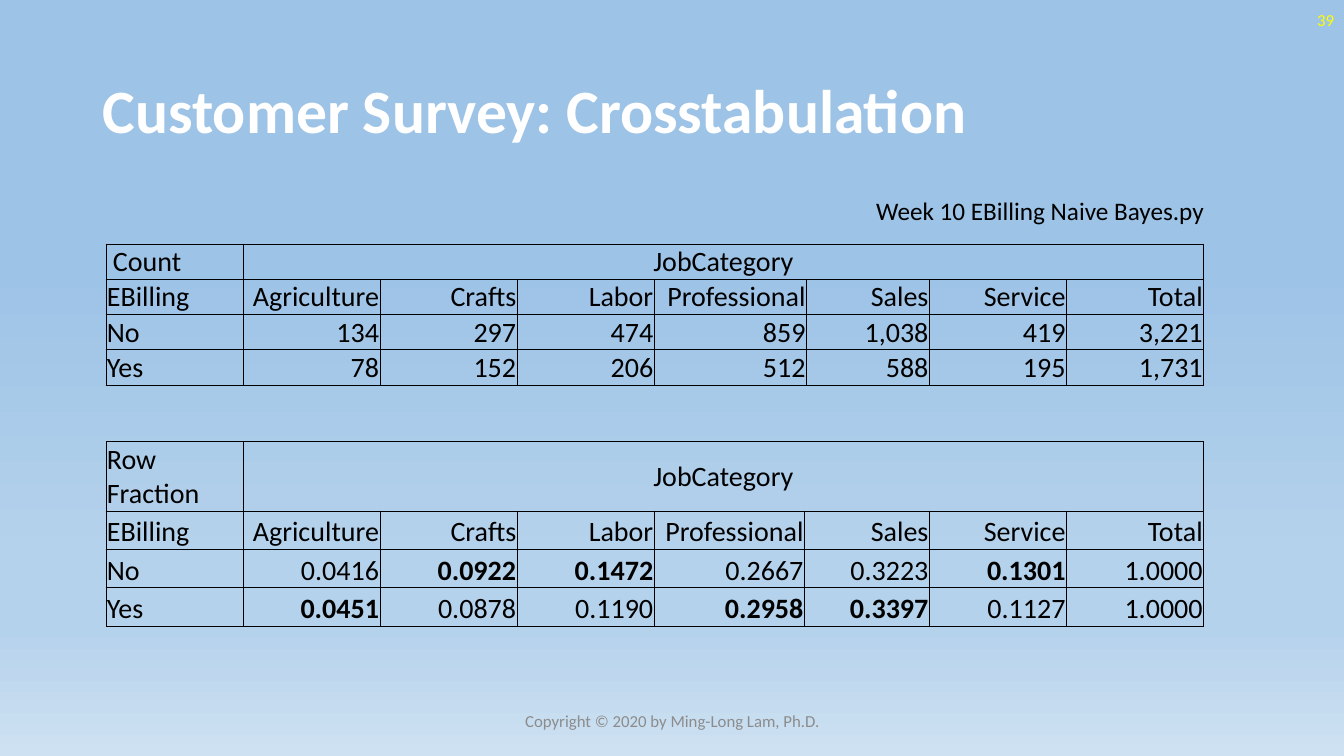
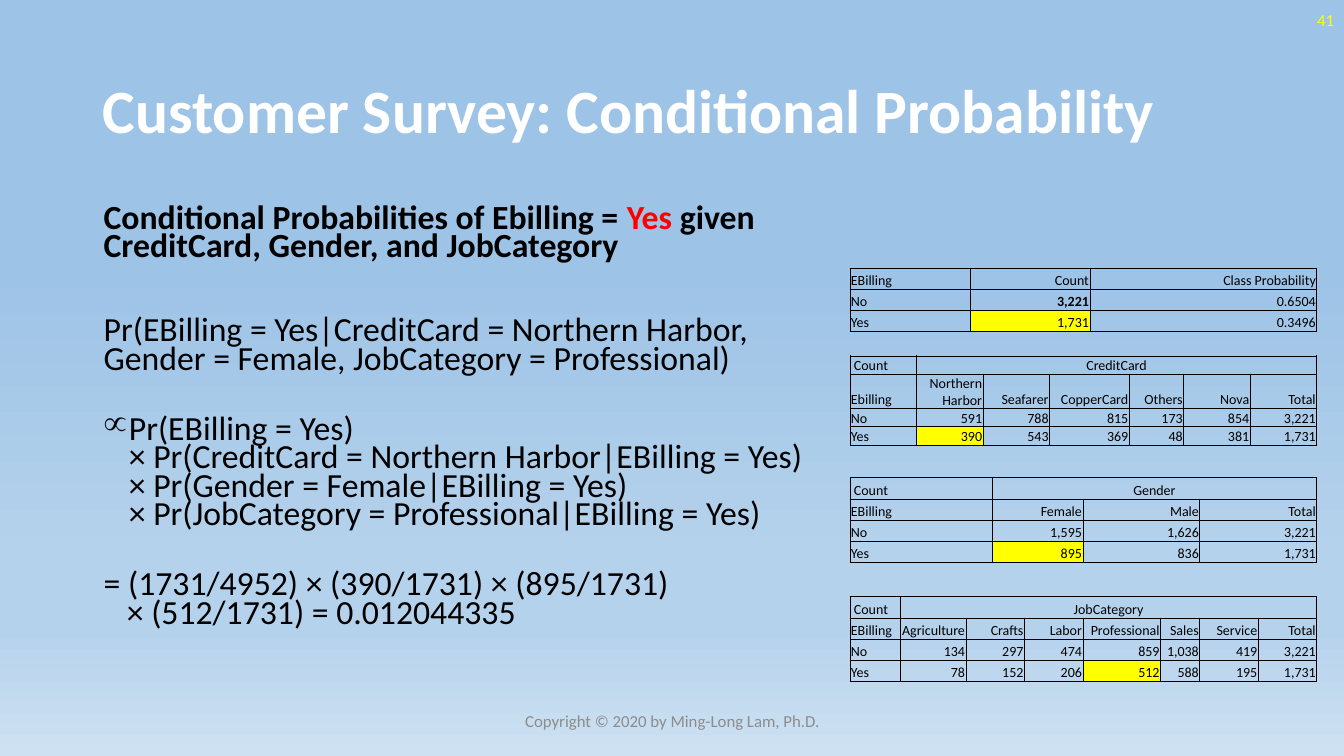
from dataclasses import dataclass

from lxml.etree import SubElement as Sub
from pptx import Presentation
from pptx.dml.color import RGBColor as RGB
from pptx.enum.text import MSO_ANCHOR as Anchor, PP_ALIGN as Align
from pptx.oxml.ns import qn
from pptx.util import Inches, Pt


@dataclass(frozen=True)
class Theme:
    font: str = "Calibri"
    black: str = "000000"
    white: str = "FFFFFF"
    gray: str = "8C8C8C"
    red: str = "FF0000"
    yellow: str = "FFFF00"
    sky: tuple = ((35, "9DC3E6"), (74, "B5D2EC"), (83, "B5D2EC"), (100, "CEE1F2"))
    title: float = 44
    body: float = 24.1
    large: float = 20
    label: float = 18
    note: float = 12
    small: float = 10
    rule: float = 0.5
    pad: float = 0.01


T = Theme()


def put(frame, text, size=T.label, color=T.black, bold=False, align=Align.LEFT,
        line=None, before=0, hang=0, bullet=None):
    """Add a paragraph; text is a string or a list of (words, color) runs."""
    para = frame.paragraphs[0]
    if para.runs:
        para = frame.add_paragraph()
    para.alignment = align
    para.space_before = Pt(before)
    if line:
        para.line_spacing = line
    if hang:
        props = para._p.get_or_add_pPr()
        props.set("marL", str(Inches(hang)))
        props.set("indent", str(-Inches(hang)))
        if bullet:
            Sub(props, qn("a:buChar")).set("char", bullet)
    for words, tint in [(text, color)] if isinstance(text, str) else text:
        for i, part in enumerate(words.split("\n")):
            if i:
                para.add_line_break()
            run = para.add_run()
            run.text = part
            font = run.font
            font.name, font.size, font.bold = T.font, Pt(size), bold
            font.color.rgb = RGB.from_string(tint)
    for gap in para._p.findall(qn("a:br")):
        Sub(gap, qn("a:rPr")).set("sz", str(round(size * 100)))


def edge(cell):
    """Draw a thin black line on all four sides of a table cell."""
    props = cell._tc.get_or_add_tcPr()
    for side in ("lnL", "lnR", "lnT", "lnB"):
        line = Sub(props, qn(f"a:{side}"), w=str(Pt(T.rule)))
        fill = Sub(line, qn("a:solidFill"))
        Sub(fill, qn("a:srgbClr"), val=T.black)


class Deck:
    def __init__(self):
        self.prs = Presentation()
        self.prs.slide_width, self.prs.slide_height = Inches(13.33), Inches(7.5)
        self.paint()

    def paint(self):
        """Put the shared gradient behind every slide."""
        fill = self.prs.slide_master.background.fill
        fill.gradient()
        fill.gradient_angle = 270
        stops = fill._fill._gradFill.find(qn("a:gsLst"))
        for old in list(stops):
            stops.remove(old)
        for pos, color in T.sky:
            stop = Sub(stops, qn("a:gs"), pos=str(pos * 1000))
            Sub(stop, qn("a:srgbClr"), val=color)

    def page(self, title, number):
        self.slide = self.prs.slides.add_slide(self.prs.slide_layouts[6])
        put(self.box(0.92, 0.4, 11.5, 1.45, Anchor.MIDDLE), title,
            size=T.title, color=T.white, bold=True, line=0.9)
        put(self.box(10.33, 0, 3, 0.4, Anchor.MIDDLE), number,
            size=T.note, color=T.yellow, align=Align.RIGHT)
        put(self.box(4.42, 6.95, 4.5, 0.4, Anchor.MIDDLE),
            "Copyright © 2020 by Ming-Long Lam, Ph.D.",
            size=T.note, color=T.gray, align=Align.CENTER)

    def box(self, x, y, w, h, anchor=Anchor.TOP):
        shape = self.slide.shapes.add_textbox(*map(Inches, (x, y, w, h)))
        frame = shape.text_frame
        frame.word_wrap = True
        frame.vertical_anchor = anchor
        return frame

    def table(self, x, y, cols, highs, rows, size=T.small, bold=(), mark=(),
              inset=0.03, group=Anchor.BOTTOM):
        """Draw rows of "|" separated cells; a short row spans its last cell.

        bold and mark hold (row, column) pairs; inset shifts a spanned
        table's corner cell.
        """
        shape = self.slide.shapes.add_table(
            len(rows), len(cols), *map(Inches, (x, y, sum(cols), sum(highs))))
        grid = shape.table
        grid.first_row = grid.horz_banding = False
        for col, wide in zip(grid.columns, cols):
            col.width = Inches(wide)
        for row, high in zip(grid.rows, highs):
            row.height = Inches(high)
        for r, row in enumerate(rows):
            texts = row.split("|")
            span = len(texts) < len(cols)
            for c in range(len(cols)):
                cell = grid.cell(r, c)
                cell.margin_left = Inches(T.pad + (inset if span and c == 0 else 0))
                cell.margin_right = cell.margin_top = Inches(T.pad)
                cell.margin_bottom = 0
                cell.vertical_anchor = group if span and c else Anchor.BOTTOM
                edge(cell)
                if (r, c) in mark:
                    cell.fill.solid()
                    cell.fill.fore_color.rgb = RGB.from_string(T.yellow)
                else:
                    cell.fill.background()
                if c < len(texts):
                    align = Align.LEFT if c == 0 else Align.CENTER if span else Align.RIGHT
                    put(cell.text_frame, texts[c], size=size, align=align,
                        bold=(r, c) in bold)
            if span:
                grid.cell(r, 1).merge(grid.cell(r, len(cols) - 1))


JOBS = "EBilling|Agriculture|Crafts|Labor|Professional|Sales|Service|Total"
COUNTS = [
    "Count|JobCategory",
    JOBS,
    "No|134|297|474|859|1,038|419|3,221",
    "Yes|78|152|206|512|588|195|1,731",
]
SHARES = [
    "Row Fraction|JobCategory",
    JOBS,
    "No|0.0416|0.0922|0.1472|0.2667|0.3223|0.1301|1.0000",
    "Yes|0.0451|0.0878|0.1190|0.2958|0.3397|0.1127|1.0000",
]
CLASSES = [
    "EBilling|Count|Class Probability",
    "No|3,221|0.6504",
    "Yes|1,731|0.3496",
]
CARDS = [
    "Count|CreditCard",
    "Ebilling|Northern Harbor|Seafarer|CopperCard|Others|Nova|Total",
    "No|591|788|815|173|854|3,221",
    "Yes|390|543|369|48|381|1,731",
]
GENDERS = [
    "Count|Gender",
    "EBilling|Female|Male|Total",
    "No|1,595|1,626|3,221",
    "Yes|895|836|1,731",
]


def cross(deck):
    deck.page("Customer Survey: Crosstabulation", "39")
    put(deck.box(8.59, 1.89, 3.49, 0.4), "Week 10 EBilling Naive Bayes.py")
    left, wide = 1.05, 1.36
    deck.table(left, 2.42, [wide] * 4 + [1.51, 1.22] + [wide] * 2, [0.35] * 4,
               COUNTS, size=T.large, inset=0.06)
    deck.table(left, 4.38, [wide] * 4 + [1.49, 1.24] + [wide] * 2,
               [0.69] + [0.38] * 3, SHARES, size=T.large, inset=0,
               group=Anchor.MIDDLE,
               bold={(2, 2), (2, 3), (2, 6), (3, 1), (3, 4), (3, 5)})


def chance(deck):
    deck.page("Customer Survey: Conditional Probability", "41")
    body = deck.box(0.93, 2, 7.23, 4.76)
    style = dict(size=T.body, line=0.7)
    put(body, [("Conditional Probabilities of Ebilling = ", T.black), ("Yes", T.red),
               (" given CreditCard, Gender, and JobCategory", T.black)],
        bold=True, **style)
    put(body, "Pr(EBilling = Yes|CreditCard = Northern Harbor, "
              "Gender = Female, JobCategory = Professional)", before=40, **style)
    put(body, "Pr(EBilling = Yes)\n"
              "× Pr(CreditCard = Northern Harbor|EBilling = Yes)\n"
              "× Pr(Gender = Female|EBilling = Yes)\n"
              "× Pr(JobCategory = Professional|EBilling = Yes)",
        before=30, hang=0.25, bullet="∝", **style)
    put(body, "= (1731/4952) × (390/1731) × (895/1731)\n× (512/1731) = 0.012044335",
        before=30, hang=0.23, **style)

    left, high = 8.43, 0.21
    deck.table(left, 2.66, [1.19, 1.19, 2.25], [high] * 3, CLASSES,
               bold={(1, 1)}, mark={(2, 1)})
    deck.table(left, 3.53, [0.66] * 3 + [0.79, 0.54] + [0.66] * 2,
               [0.18, 0.34, 0.18, 0.18], CARDS, mark={(3, 1)})
    deck.table(left, 4.74, [1.41, 0.9, 1.16, 1.16], [high] * 4, GENDERS,
               mark={(3, 1)})
    deck.table(left, 5.92, [0.5, 0.65, 0.58, 0.58, 0.77, 0.39, 0.58, 0.58],
               [high] * 4, COUNTS, mark={(3, 4)})


def main():
    deck = Deck()
    cross(deck)
    chance(deck)
    deck.prs.save("out.pptx")


if __name__ == "__main__":
    main()
